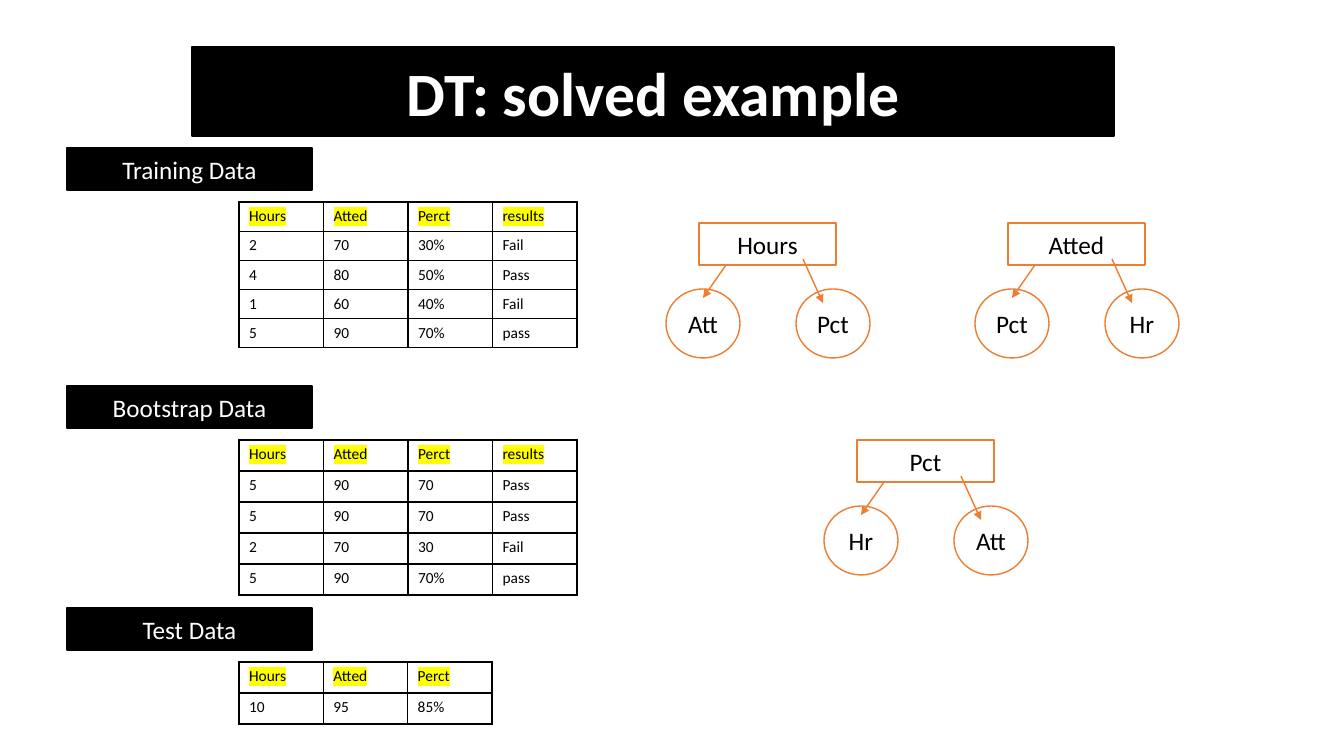
import dataclasses

import pptx
import pptx.dml.color
import pptx.enum.shapes
import pptx.enum.text
import pptx.oxml
import pptx.oxml.ns
import pptx.util

NS = pptx.oxml.ns.nsdecls("a")
KIND = pptx.enum.shapes.MSO_SHAPE


@dataclasses.dataclass(frozen=True)
class Theme:
    font: str = "Calibri"
    black: str = "000000"
    white: str = "FFFFFF"
    mark: str = "FFFF00"
    edge: str = "ED7D31"
    head: int = 44
    body: int = 18
    cell: int = 11


THEME = Theme()


def px(count):
    return pptx.util.Emu(round(count * 914400 / 100.8))


def rgb(code):
    return pptx.dml.color.RGBColor.from_string(code)


def add_xml(parent, text):
    parent.append(pptx.oxml.parse_xml(text))


def paint(item, fill, line):
    item.fill.solid()
    item.fill.fore_color.rgb = rgb(fill)
    item.line.color.rgb = rgb(line)
    item.line.width = pptx.util.Pt(1)


def write(frame, text, size, color, bold=False, mark=False):
    frame.text = text
    run = frame.paragraphs[0].runs[0]
    run.font.size = pptx.util.Pt(size)
    run.font.bold = bold
    run.font.color.rgb = rgb(color)
    if mark:
        add_xml(run.font._element,
                f'<a:highlight {NS}><a:srgbClr val="{THEME.mark}"/></a:highlight>')
    run.font.name = THEME.font


def center(frame):
    frame.vertical_anchor = pptx.enum.text.MSO_ANCHOR.MIDDLE
    frame.paragraphs[0].alignment = pptx.enum.text.PP_ALIGN.CENTER


def add_title(slide, text, left, top, width, height):
    title = slide.shapes.title
    title.left, title.top = px(left), px(top)
    title.width, title.height = px(width), px(height)
    add_xml(title._element.spPr,
            f'<a:prstGeom {NS} prst="roundRect"><a:avLst/></a:prstGeom>')
    paint(title, THEME.black, THEME.black)
    write(title.text_frame, text, THEME.head, THEME.white, bold=True)
    center(title.text_frame)
    title.text_frame.auto_size = pptx.enum.text.MSO_AUTO_SIZE.NONE


def add_box(slide, kind, text, place, fill, line, color):
    box = slide.shapes.add_shape(kind, *map(px, place))
    box.shadow.inherit = False
    paint(box, fill, line)
    write(box.text_frame, text, THEME.body, color)
    center(box.text_frame)
    box.text_frame.word_wrap = False


def add_arrow(slide, start, end):
    arrow = slide.shapes.add_connector(
        pptx.enum.shapes.MSO_CONNECTOR.STRAIGHT, *map(px, start + end))
    arrow.line.color.rgb = rgb(THEME.edge)
    arrow.line.width = pptx.util.Pt(1)
    add_xml(arrow.line._get_or_add_ln(), f'<a:tailEnd {NS} type="triangle"/>')
    add_xml(arrow._element.spPr, f"<a:effectLst {NS}/>")


def style_cell(cell, text, header):
    props = cell._tc.get_or_add_tcPr()
    for side in "LRTB":
        add_xml(props, f'<a:ln{side} {NS} w="12700"><a:solidFill>'
                       f'<a:srgbClr val="{THEME.black}"/></a:solidFill></a:ln{side}>')
    cell.fill.solid()
    cell.fill.fore_color.rgb = rgb(THEME.white)
    write(cell.text_frame, text, THEME.cell, THEME.black, mark=header)


def add_data(slide, label, rows, left, top, width, pitch):
    """Place a black label with its table below and to the right."""
    add_box(slide, KIND.RECTANGLE, label, (left, top, 245, 42),
            THEME.black, THEME.black, THEME.white)
    count = len(rows[0])
    grid = slide.shapes.add_table(
        len(rows), count, px(left + 172), px(top + 54),
        px(width), px(pitch * len(rows))).table
    grid.first_row = grid.horz_banding = False
    for col in grid.columns:
        col.width = px(width / count)
    for r, row in enumerate(rows):
        grid.rows[r].height = px(pitch)
        for c, text in enumerate(row):
            style_cell(grid.cell(r, c), text, r == 0)


def add_tree(slide, root, leaves, left, top):
    look = THEME.white, THEME.edge, THEME.black
    add_box(slide, KIND.RECTANGLE, root, (left + 33, top, 137, 42), *look)
    for i, leaf in enumerate(leaves):
        add_box(slide, KIND.OVAL, leaf, (left + 130 * i, top + 66, 74, 69), *look)
    add_arrow(slide, (left + 60, top + 42), (left + 37, top + 75))
    add_arrow(slide, (left + 137, top + 36), (left + 157, top + 80))


HEADS = ("Hours", "Atted", "Perct", "results")
DATA = (
    ("Training Data", 148, 338, 29, (
        HEADS,
        ("2", "70", "30%", "Fail"),
        ("4", "80", "50%", "Pass"),
        ("1", "60", "40%", "Fail"),
        ("5", "90", "70%", "pass"))),
    ("Bootstrap Data", 386, 338, 31, (
        HEADS,
        ("5", "90", "70", "Pass"),
        ("5", "90", "70", "Pass"),
        ("2", "70", "30", "Fail"),
        ("5", "90", "70%", "pass"))),
    ("Test Data", 608, 253, 31, (
        HEADS[:3],
        ("10", "95", "85%"))),
)
TREES = (
    ("Hours", ("Att", "Pct"), 666, 223),
    ("Atted", ("Pct", "Hr"), 975, 223),
    ("Pct", ("Hr", "Att"), 824, 440),
)


def main():
    deck = pptx.Presentation()
    deck.slide_width, deck.slide_height = px(1344), px(756)
    slide = deck.slides.add_slide(deck.slide_layouts[5])
    add_title(slide, "DT: solved example", 192, 47, 922, 89)
    for label, top, width, pitch, rows in DATA:
        add_data(slide, label, rows, 67, top, width, pitch)
    for tree in TREES:
        add_tree(slide, *tree)
    deck.save("out.pptx")


if __name__ == "__main__":
    main()
